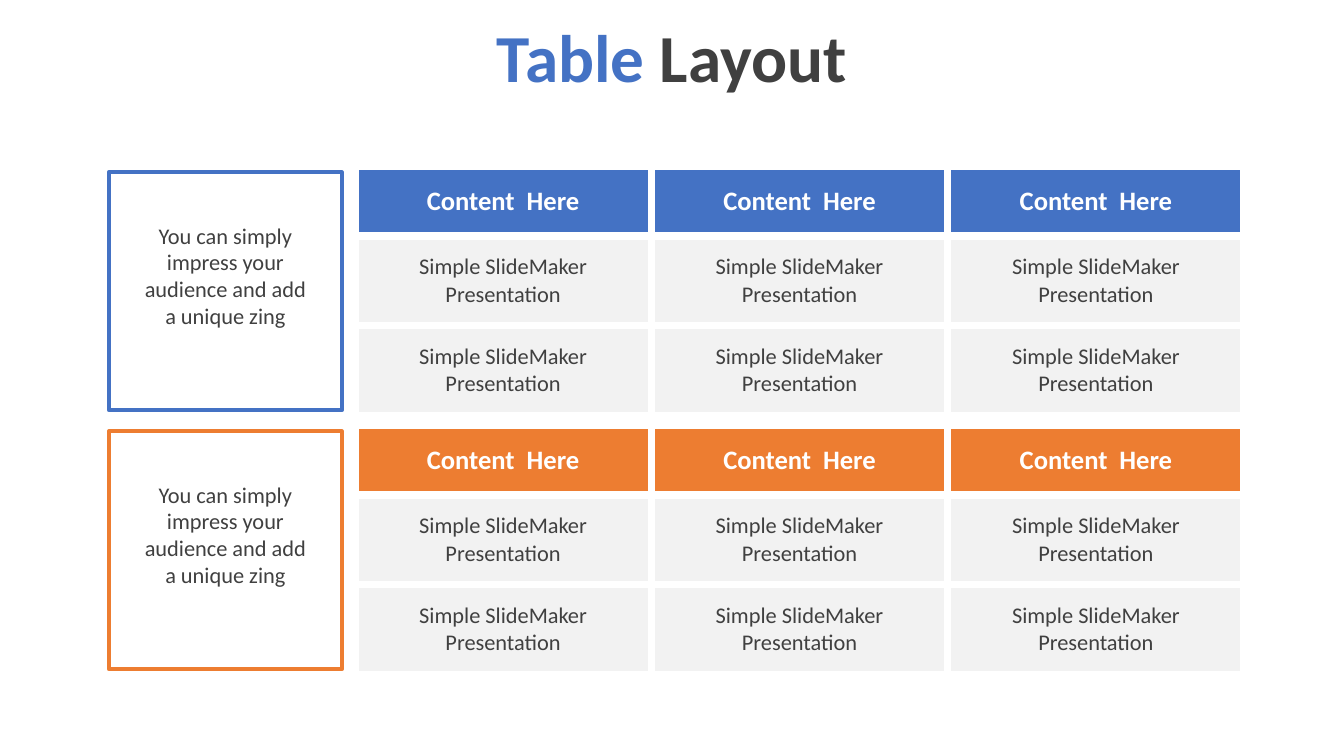
from dataclasses import dataclass

from lxml.etree import SubElement
from pptx import Presentation
from pptx.dml.color import RGBColor
from pptx.enum.shapes import MSO_SHAPE
from pptx.enum.text import MSO_ANCHOR, MSO_AUTO_SIZE, PP_ALIGN
from pptx.oxml.ns import qn
from pptx.util import Emu, Pt

# Content
TITLE = ("Table ", "Layout")
COLUMNS = 3
HEADER = ["Content  Here"] * COLUMNS
BODY = ["Simple SlideMaker Presentation"] * COLUMNS
NOTE = "You can simply impress your audience and add a unique zing"
SECTIONS = [
    {"accent": "4472C4", "note": NOTE, "rows": [HEADER, BODY, BODY]},
    {"accent": "ED7D31", "note": NOTE, "rows": [HEADER, BODY, BODY]},
]


@dataclass(frozen=True)
class Theme:
    font: str = "Calibri"
    blue: str = "4472C4"
    dark: str = "404040"
    white: str = "FFFFFF"
    cell: str = "F2F2F2"
    title_size: int = 48
    header_size: int = 19
    body_size: int = 16
    frame_width: int = 3
    border_width: int = 6


THEME = Theme()

# Layout in px, 100 to the inch
SCALE = 9144
SLIDE_WIDTH, SLIDE_HEIGHT = 1333, 750
TITLE_BOX = (0, 4, SLIDE_WIDTH, 113)
TABLE_LEFT, COLUMN_WIDTH = 352, 294
ROW_HEIGHTS = (69, 89, 89)
SECTION_TOP, SECTION_STEP = 165, 257
FRAME_LEFT, FRAME_WIDTH, FRAME_HEIGHT, FRAME_DROP = 108, 231, 236, 6
NOTE_INSET, NOTE_HEIGHT, NOTE_DROP = 21, 118, 50
CELL_MARGIN_X, CELL_MARGIN_Y = 13, 7


def px(length):
    return Emu(length * SCALE)


def place(*box):
    return [px(length) for length in box]


def color(value):
    return RGBColor.from_string(value)


def format_paragraph(paragraph, size, colors, bold=False):
    paragraph.alignment = PP_ALIGN.CENTER
    for run, run_color in zip(paragraph.runs, colors):
        run.font.name = THEME.font
        run.font.size = Pt(size)
        run.font.bold = bold
        run.font.color.rgb = color(run_color)


def add_title(slide):
    title = slide.shapes.title
    title.left, title.top, title.width, title.height = place(*TITLE_BOX)
    frame = title.text_frame
    frame.vertical_anchor = MSO_ANCHOR.MIDDLE
    frame.auto_size = MSO_AUTO_SIZE.NONE
    paragraph = frame.paragraphs[0]
    for text in TITLE:
        paragraph.add_run().text = text
    paragraph.line_spacing = 0.9
    format_paragraph(paragraph, THEME.title_size, (THEME.blue, THEME.dark), True)


def add_borders(cell):
    properties = cell._tc.get_or_add_tcPr()
    for side in ("a:lnL", "a:lnR", "a:lnT", "a:lnB"):
        line = SubElement(properties, qn(side), w=str(Pt(THEME.border_width)))
        fill = SubElement(line, qn("a:solidFill"))
        SubElement(fill, qn("a:srgbClr"), val=THEME.white)


def format_cell(cell, text, is_header, accent):
    add_borders(cell)
    cell.fill.solid()
    cell.fill.fore_color.rgb = color(accent if is_header else THEME.cell)
    cell.margin_left = cell.margin_right = px(CELL_MARGIN_X)
    cell.margin_top = cell.margin_bottom = px(CELL_MARGIN_Y)
    cell.vertical_anchor = MSO_ANCHOR.MIDDLE
    cell.text_frame.text = text
    size = THEME.header_size if is_header else THEME.body_size
    text_color = THEME.white if is_header else THEME.dark
    format_paragraph(cell.text_frame.paragraphs[0], size, [text_color], is_header)


def add_section_table(slide, section, top):
    rows = section["rows"]
    box = place(TABLE_LEFT, top, COLUMN_WIDTH * COLUMNS, sum(ROW_HEIGHTS))
    table = slide.shapes.add_table(len(rows), COLUMNS, *box).table
    table.horz_banding = False
    for column in table.columns:
        column.width = px(COLUMN_WIDTH)
    for row_index, texts in enumerate(rows):
        table.rows[row_index].height = px(ROW_HEIGHTS[row_index])
        for column_index, text in enumerate(texts):
            cell = table.cell(row_index, column_index)
            format_cell(cell, text, row_index == 0, section["accent"])


def add_note(slide, section, top):
    # Outlined frame
    box = place(FRAME_LEFT, top + FRAME_DROP, FRAME_WIDTH, FRAME_HEIGHT)
    shape = slide.shapes.add_shape(MSO_SHAPE.RECTANGLE, *box)
    shape.shadow.inherit = False
    shape.fill.solid()
    shape.fill.fore_color.rgb = color(THEME.white)
    shape.line.color.rgb = color(section["accent"])
    shape.line.width = Pt(THEME.frame_width)

    # Text inside the frame
    box = place(FRAME_LEFT + NOTE_INSET, top + NOTE_DROP,
                FRAME_WIDTH - 2 * NOTE_INSET, NOTE_HEIGHT)
    frame = slide.shapes.add_textbox(*box).text_frame
    frame.word_wrap = True
    frame.auto_size = MSO_AUTO_SIZE.SHAPE_TO_FIT_TEXT
    frame.text = section["note"]
    format_paragraph(frame.paragraphs[0], THEME.body_size, [THEME.dark])


def main():
    presentation = Presentation()
    presentation.slide_width = px(SLIDE_WIDTH)
    presentation.slide_height = px(SLIDE_HEIGHT)
    slide = presentation.slides.add_slide(presentation.slide_layouts[5])
    add_title(slide)
    for index, section in enumerate(SECTIONS):
        top = SECTION_TOP + index * SECTION_STEP
        add_section_table(slide, section, top)
        add_note(slide, section, top)
    presentation.save("out.pptx")


if __name__ == "__main__":
    main()
